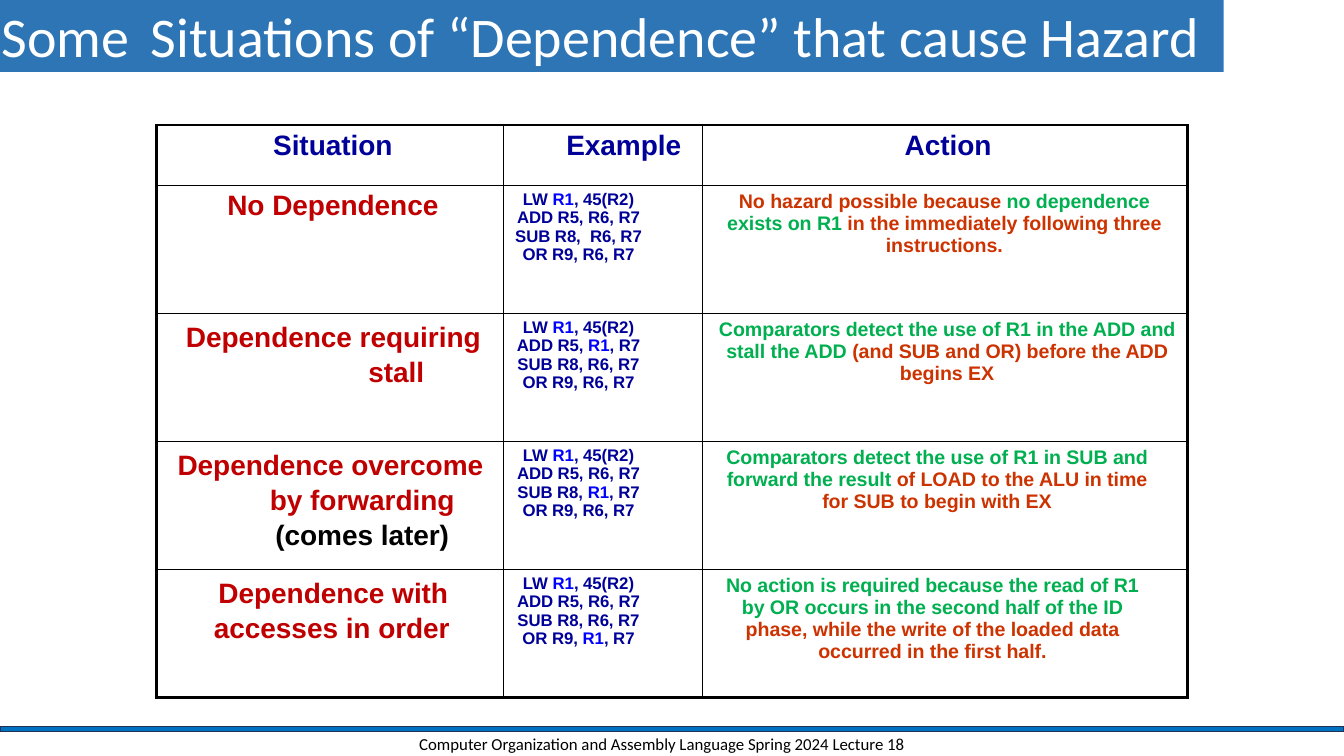
from lxml import etree
from pptx import Presentation
from pptx.dml.color import RGBColor
from pptx.enum.shapes import MSO_SHAPE
from pptx.enum.text import MSO_ANCHOR, MSO_AUTO_SIZE, PP_ALIGN
from pptx.oxml.ns import qn
from pptx.util import Pt

WHITE = RGBColor(0xFF, 0xFF, 0xFF)
BLACK = RGBColor(0, 0, 0)
TITLE_BLUE = RGBColor(0x2E, 0x75, 0xB6)
RULE_BLUE = RGBColor(0x00, 0x70, 0xC0)
RULE_EDGE = RGBColor(0x1E, 0x32, 0x56)
NAVY = RGBColor(0x00, 0x00, 0x99)
BLUE = RGBColor(0x00, 0x00, 0xFF)
RED = RGBColor(0xC0, 0x00, 0x00)
RUST = RGBColor(0xCC, 0x33, 0x00)
GREEN = RGBColor(0x00, 0xB0, 0x50)

COLUMN_WIDTHS = (248, 142.4, 346.2)
ROW_HEIGHTS = (43.2, 91.4, 91.4, 91.4, 91.4)

# Paragraph formats by kind of cell
HEADING = {"space_before": Pt(4)}
CODE = {"space_before": Pt(4.2), "line_spacing": 0.98}
SITUATION = {"space_before": Pt(5), "line_spacing": Pt(25)}

# Each row: situation (runs, left, first-line indent, right), code, action (runs, right)
ROWS = [
    (([("No Dependence", RED)], 4.3, 0, 0),
     "LW R1, 45(R2)\vADD R5, R6, R7\vSUB R8,  R6, R7\vOR R9, R6, R7",
     ([("No hazard possible because ", RUST),
       ("no dependence\vexists on R1 ", GREEN),
       ("in the immediately following three\vinstructions.", RUST)], 9)),
    (([("Dependence requiring\vstall", RED)], 104.4, -90, 9.4),
     "LW R1, 45(R2)\vADD R5, R1, R7\vSUB R8, R6, R7\vOR R9, R6, R7",
     ([("Comparators detect the use of R1 in the ADD and\vstall the ADD ", GREEN),
       ("(and SUB and OR) before the ADD\vbegins EX", RUST)], 5)),
    (([("Dependence overcome\vby forwarding\v", RED), ("(comes later)", BLACK)],
      56.2, -45.4, 10),
     "LW R1, 45(R2)\vADD R5, R6, R7\vSUB R8, R1, R7\vOR R9, R6, R7",
     ([("Comparators detect the use of R1 in SUB and\vforward the result ", GREEN),
       ("of LOAD to the ALU in time\vfor SUB to begin with EX", RUST)], 19.4)),
    (([("Dependence with\vaccesses in order", RED)], 36.7, 2.2, 34),
     "LW R1, 45(R2)\vADD R5, R6, R7\vSUB R8, R6, R7\vOR R9, R1, R7",
     ([("No action is required because the read of R1\v"
        "by OR occurs in the second half of the ID\v", GREEN),
       ("phase, while the write of the loaded data\v"
        "occurred in the first half.", RUST)], 26)),
]


def apply_formats(target, formats):
    for name, value in formats.items():
        setattr(target, name, value)


def add_words(paragraph, words, color, **formats):
    """Add words in one colour; a vertical tab starts a new line."""
    for number, line in enumerate(words.split("\v")):
        if number:
            paragraph.add_line_break()
        if line:
            run = paragraph.add_run()
            run.text = line
            apply_formats(run.font, formats)
            run.font.color.rgb = color


def add_title(slide, left, top, width, height):
    title = slide.shapes.title
    apply_formats(title, {"left": Pt(left), "top": Pt(top),
                          "width": Pt(width), "height": Pt(height)})
    title.fill.solid()
    title.fill.fore_color.rgb = TITLE_BLUE
    frame = title.text_frame
    apply_formats(frame, {"margin_left": 0, "margin_top": Pt(1), "margin_right": 0,
                          "margin_bottom": 0, "word_wrap": True,
                          "vertical_anchor": MSO_ANCHOR.MIDDLE,
                          "auto_size": MSO_AUTO_SIZE.SHAPE_TO_FIT_TEXT})
    heading = frame.paragraphs[0]
    properties = heading._p.get_or_add_pPr()
    properties.set("marL", str(Pt(1)))
    tabs = etree.SubElement(properties, qn("a:tabLst"))
    for stop in (106.6, 257.8):
        etree.SubElement(tabs, qn("a:tab"), pos=str(Pt(stop)), algn="l")
    apply_formats(heading, {"alignment": PP_ALIGN.LEFT, "space_before": Pt(0)})
    add_words(heading, "Some\tSituations of “Dependence” that cause Hazard", WHITE,
              size=Pt(40), name="Calibri")


def set_borders(cell, row, column):
    """Thick lines round the table, thin lines between its cells."""
    outer = {"L": column == 0, "R": column == len(COLUMN_WIDTHS) - 1,
             "T": row == 0, "B": row == len(ROW_HEIGHTS) - 1}
    properties = cell._tc.get_or_add_tcPr()
    for side, thick in outer.items():
        line = etree.SubElement(properties, qn(f"a:ln{side}"),
                                w=str(Pt(2.25 if thick else 1)))
        fill = etree.SubElement(line, qn("a:solidFill"))
        etree.SubElement(fill, qn("a:srgbClr"), val=str(BLACK))


def fill_cell(cell, runs, size, formats, left, indent=0, right=0):
    paragraph = cell.text_frame.paragraphs[0]
    properties = paragraph._p.get_or_add_pPr()
    for name, length in (("marL", left), ("marR", right), ("indent", indent)):
        properties.set(name, str(Pt(length)))
    apply_formats(paragraph, {"alignment": PP_ALIGN.CENTER, **formats})
    for words, color in runs:
        add_words(paragraph, words, color, size=Pt(size), name="Arial", bold=True)
    for run in paragraph.runs:
        run.font._element.set("spc", "-5")


def code_runs(code):
    """Pick out register R1 in the code."""
    first, *others = code.split("R1")
    runs = [(first, NAVY)]
    for part in others:
        runs += [("R1", BLUE), (part, NAVY)]
    return runs


def add_situations_table(slide, left, top):
    table = slide.shapes.add_table(
        len(ROW_HEIGHTS), len(COLUMN_WIDTHS), Pt(left), Pt(top),
        Pt(sum(COLUMN_WIDTHS)), Pt(sum(ROW_HEIGHTS))).table
    apply_formats(table, {"first_row": False, "horz_banding": False})
    for column, width in zip(table.columns, COLUMN_WIDTHS):
        column.width = Pt(width)
    for number, height in enumerate(ROW_HEIGHTS):
        table.rows[number].height = Pt(height)
        for column in range(len(COLUMN_WIDTHS)):
            cell = table.cell(number, column)
            apply_formats(cell, {"margin_left": 0, "margin_right": 0,
                                 "margin_top": Pt(3.6), "margin_bottom": 0})
            set_borders(cell, number, column)
            cell.fill.background()

    # Heading row
    for column, (label, indent) in enumerate(
            (("Situation", 4.3), ("Example", 29.5), ("Action", 4.3))):
        fill_cell(table.cell(0, column), [(label, NAVY)], 20, HEADING, indent)

    # Situation, example and action of each row
    for number, (situation, code, (action, right)) in enumerate(ROWS, 1):
        fill_cell(table.cell(number, 0), situation[0], 20,
                  HEADING if number == 1 else SITUATION, *situation[1:])
        fill_cell(table.cell(number, 1), code_runs(code), 12, CODE, 8, right=43)
        fill_cell(table.cell(number, 2), action, 14, HEADING, 8, right=right)


def add_footer(slide, left, top, width):
    # Rule across the slide
    rule = slide.shapes.add_shape(MSO_SHAPE.RECTANGLE, Pt(left), Pt(top), Pt(width), Pt(3.6))
    rule.shadow.inherit = False
    rule.fill.solid()
    rule.fill.fore_color.rgb = RULE_BLUE
    rule.line.color.rgb = RULE_EDGE
    rule.line.width = Pt(1)

    # Lecture name
    lecture = slide.shapes.add_textbox(Pt(left + 282.2), Pt(top + 2.2), Pt(381.6), Pt(20.2))
    frame = lecture.text_frame
    apply_formats(frame, {"word_wrap": True, "vertical_anchor": MSO_ANCHOR.MIDDLE})
    frame.paragraphs[0].alignment = PP_ALIGN.CENTER
    add_words(frame.paragraphs[0],
              "Computer Organization and Assembly Language Spring 2024 Lecture 18",
              BLACK, size=Pt(12), name="Calibri")


def main():
    deck = Presentation()
    apply_formats(deck, {"slide_width": Pt(960), "slide_height": Pt(540)})
    slide = deck.slides.add_slide(deck.slide_layouts[5])
    add_title(slide, 0, -0.5, 874, 50)
    add_situations_table(slide, 111.6, 89.3)
    add_footer(slide, 0, 519.1, 960)
    deck.save("out.pptx")


if __name__ == "__main__":
    main()
